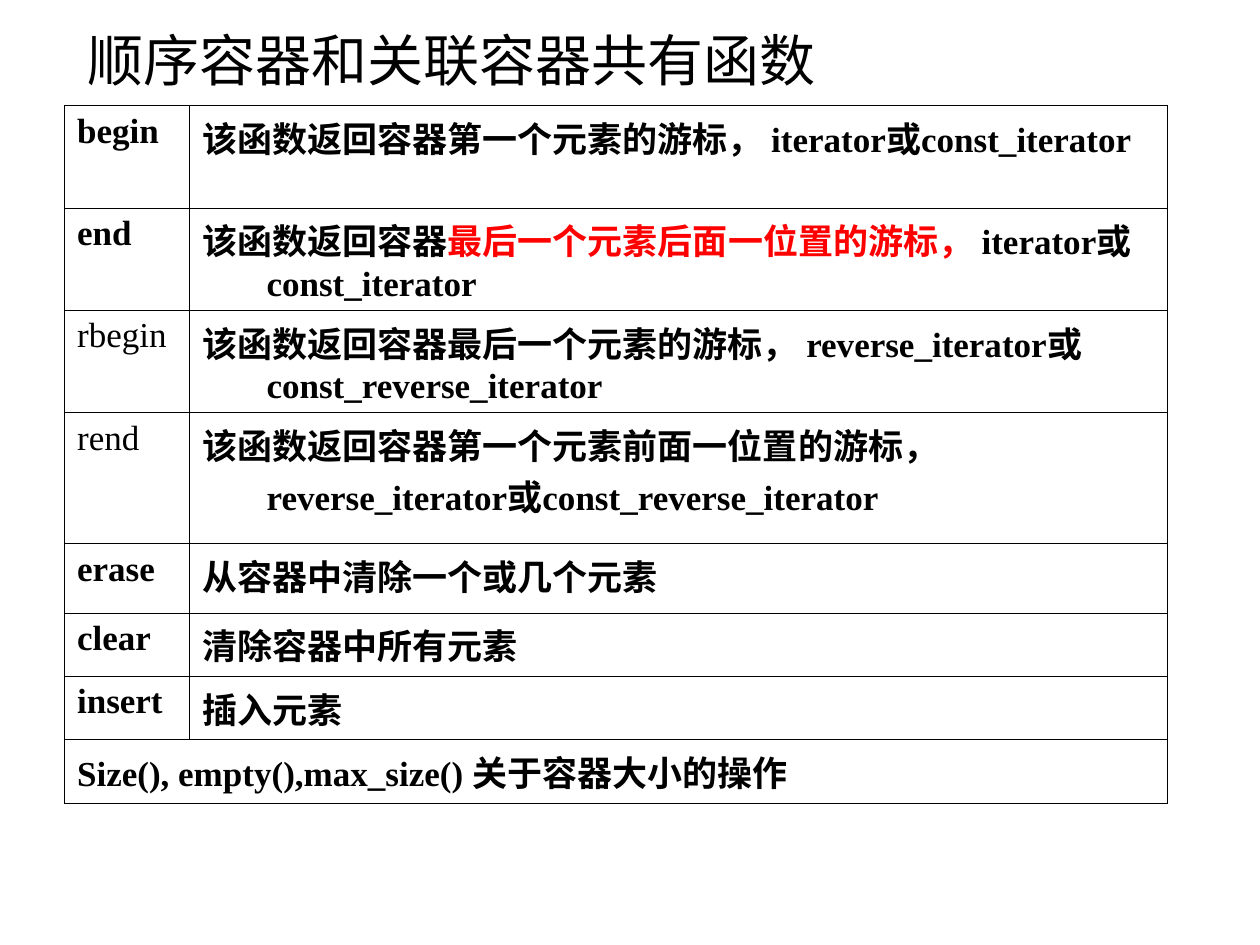
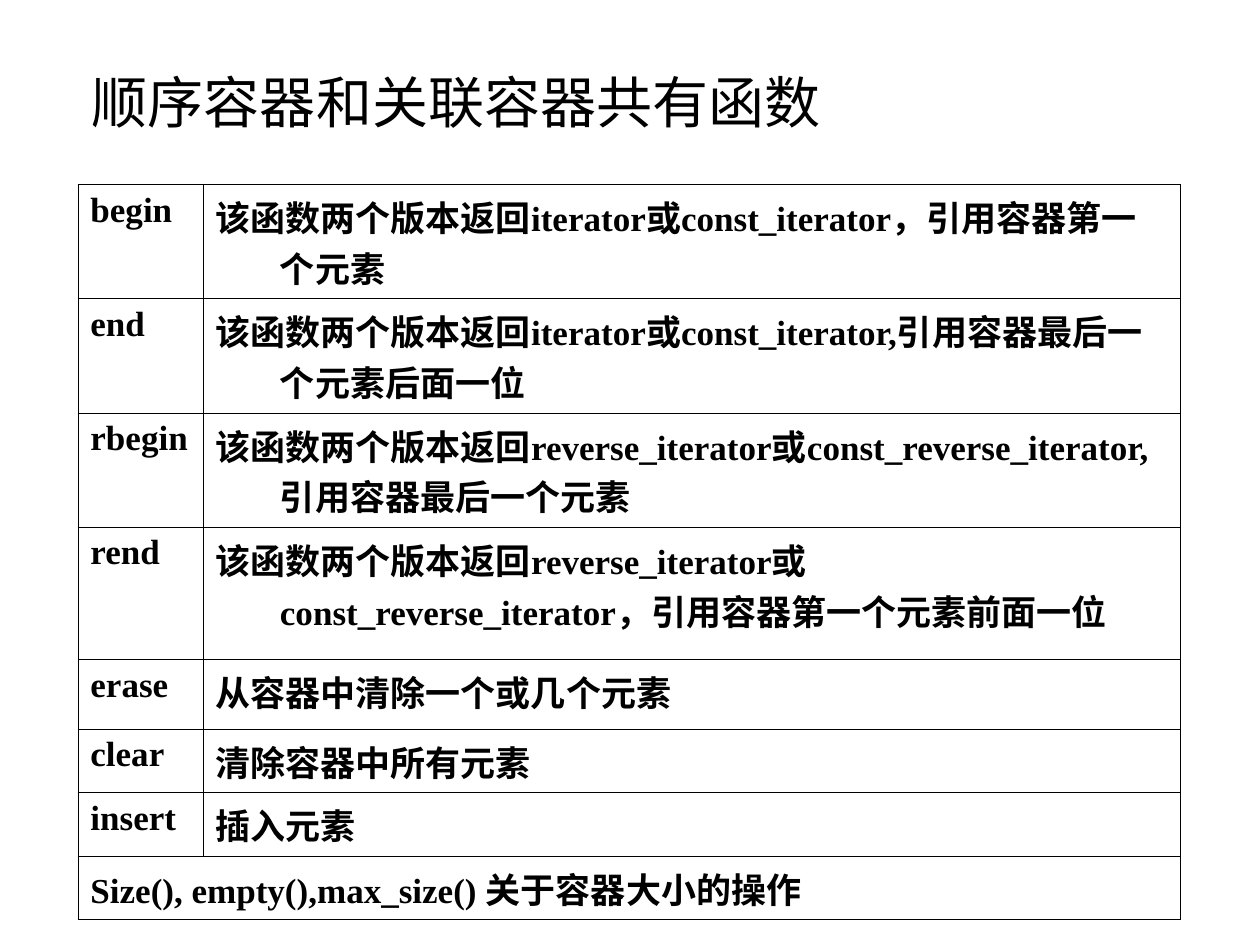
from pptx import Presentation
from pptx.dml.color import RGBColor
from pptx.enum.text import MSO_ANCHOR as Anchor, MSO_AUTO_SIZE as Fit, PP_ALIGN as Align
from pptx.oxml import parse_xml
from pptx.oxml.ns import nsdecls
from pptx.util import Cm, Pt

BLACK = RGBColor(0, 0, 0)
RED = RGBColor(255, 0, 0)
FONT = "Times New Roman"
TITLE = "顺序容器和关联容器共有函数"
COLS = (2.52, 19.71)
WIDTH = sum(COLS)
SIDES = ("lnL", "lnR", "lnT", "lnB")

# Rows that both tables share
TAIL = [
    ("erase", "从容器中清除一个或几个元素"),
    ("clear", "清除容器中所有元素"),
    ("insert", "插入元素"),
    ("Size(), empty(),max_size() 关于容器大小的操作", ""),
]
TAIL_HIGH = [1.4, 1.2, 1.2, 1.2]

MARK = "最后一个元素后面一位置的游标， "
RETURNS = [
    ("begin", "该函数返回容器第一个元素的游标， iterator或const_iterator"),
    ("end", f"该函数返回容器{MARK}iterator或const_iterator"),
    ("rbegin", "该函数返回容器最后一个元素的游标， "
               "reverse_iterator或const_reverse_iterator"),
    ("rend", "该函数返回容器第一个元素前面一位置的游标， "
             "reverse_iterator或const_reverse_iterator"),
]
VERSIONS = [
    ("begin", "该函数两个版本返回iterator或const_iterator，引用容器第一个元素"),
    ("end", "该函数两个版本返回iterator或const_iterator,引用容器最后一个元素后面一位"),
    ("rbegin", "该函数两个版本返回reverse_iterator或const_reverse_iterator,"
               "引用容器最后一个元素"),
    ("rend", "该函数两个版本返回reverse_iterator或const_reverse_iterator，"
             "引用容器第一个元素前面一位"),
]


def write(frame, text, size=20, bold=True, mark=None, hang=0, before=0):
    """Fill the first paragraph; the part equal to mark turns red."""
    para = frame.paragraphs[0]
    para.alignment = Align.LEFT
    para.space_before = Pt(before)
    if hang:
        props = para._p.get_or_add_pPr()
        props.set("marL", str(Cm(hang)))
        props.set("indent", str(-Cm(hang)))
    parts = text.partition(mark) if mark else (text,)
    for part in filter(None, parts):
        run = para.add_run()
        run.text = part
        font = run.font
        font.name, font.size, font.bold = FONT, Pt(size), bold
        font.color.rgb = RED if part == mark else BLACK


def frame_cell(cell):
    """Give a cell thin black borders and no fill."""
    props = cell._tc.get_or_add_tcPr()
    for side in SIDES:
        props.append(parse_xml(
            f'<a:{side} {nsdecls("a")} w="{Pt(0.45)}"><a:solidFill>'
            f'<a:srgbClr val="{BLACK}"/></a:solidFill></a:{side}>'))
    cell.fill.background()


def add_title(slide, left, top):
    title = slide.shapes.title
    title.left, title.top = Cm(left), Cm(top)
    title.width, title.height = Cm(WIDTH), Cm(1.88)
    frame = title.text_frame
    frame.word_wrap = True
    frame.auto_size = Fit.NONE
    frame.vertical_anchor = Anchor.BOTTOM
    frame.margin_bottom = 0
    write(frame, TITLE, size=32, bold=False)


def add_grid(slide, left, top, rows, highs, plain=(), mark=None):
    """Draw the function table; names in plain are not bold."""
    shape = slide.shapes.add_table(len(rows), len(COLS), Cm(left), Cm(top),
                                   Cm(WIDTH), Cm(sum(highs)))
    grid = shape.table
    grid.first_row = grid.horz_banding = False
    for col, wide in zip(grid.columns, COLS):
        col.width = Cm(wide)
    for row, high, texts in zip(grid.rows, highs, rows):
        row.height = Cm(high)
        for cell, text in zip(row.cells, texts):
            frame_cell(cell)
            if text:
                write(cell.text_frame, text, bold=text not in plain,
                      mark=mark, hang=1.3, before=12.5)
    last = len(rows) - 1
    grid.cell(last, 0).merge(grid.cell(last, 1))


def add_page(deck, head, body, rows, highs, **style):
    slide = deck.slides.add_slide(deck.slide_layouts[5])
    add_title(slide, *head)
    add_grid(slide, *body, rows + TAIL, highs + TAIL_HIGH, **style)


def main():
    deck = Presentation()
    deck.slide_width, deck.slide_height = Cm(25.4), Cm(19.05)
    add_page(deck, (1.5, 0), (1.3, 2.13), RETURNS, [1.96, 2.03, 2.03, 2.64],
             plain=("rbegin", "rend"), mark=MARK)
    add_page(deck, (1.6, 0.84), (1.57, 3.72), VERSIONS, [2.06, 2.03, 2.06, 2.67])
    deck.save("out.pptx")


if __name__ == "__main__":
    main()
